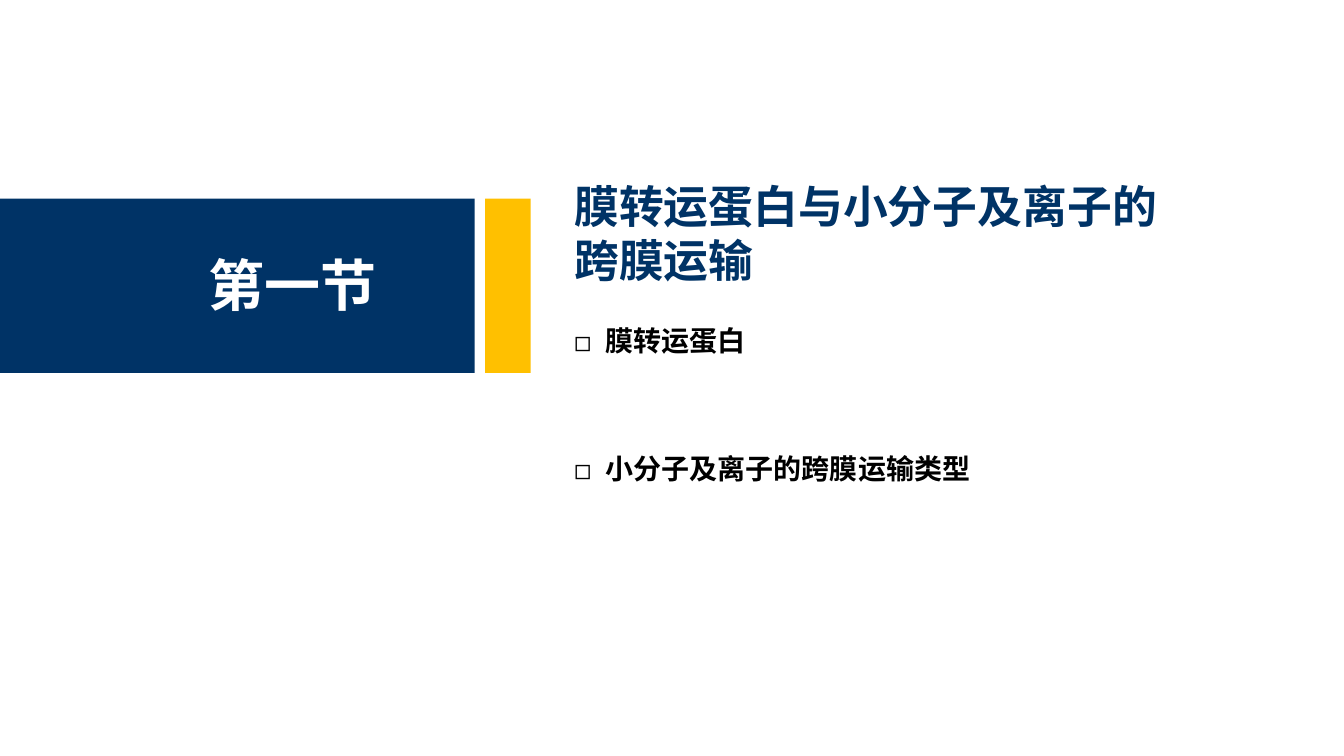
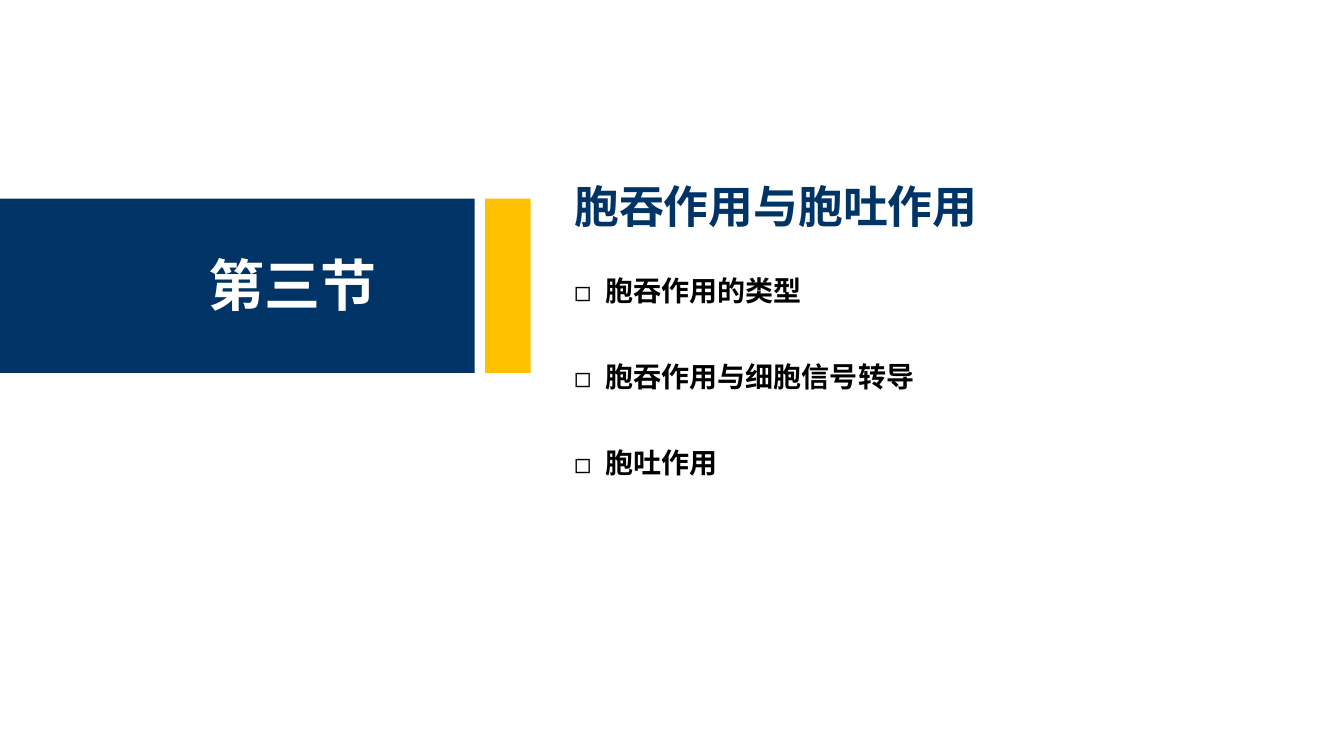
from dataclasses import dataclass

from lxml import etree
from pptx import Presentation
from pptx.dml.color import RGBColor
from pptx.enum import shapes, text
from pptx.oxml import ns
from pptx.util import Pt


@dataclass(frozen=True)
class Theme:
    navy: RGBColor = RGBColor(0x00, 0x33, 0x66)
    amber: RGBColor = RGBColor(0xFF, 0xC0, 0x00)
    white: RGBColor = RGBColor(0xFF, 0xFF, 0xFF)
    black: RGBColor = RGBColor(0x00, 0x00, 0x00)
    font: str = "Noto Sans CJK SC"
    section_size: float = 40
    heading_size: float = 32
    heading_leading: float = 38.6
    topic_size: float = 20


THEME = Theme()
BAND_TOP, BAND_HEIGHT = 142, 124.5
CONTENT_LEFT, CONTENT_WIDTH = 403, 453
TOPIC_HEIGHT, TOPIC_INDENT = 31.7, 22.5

SECTIONS = [
    ("第一节", "膜转运蛋白与小分子及离子的跨膜运输", 227.5, 91.5,
     ["膜转运蛋白", "小分子及离子的跨膜运输类型"]),
    ("第三节", "胞吞作用与胞吐作用", 191.5, 61.6,
     ["胞吞作用的类型", "胞吞作用与细胞信号转导", "胞吐作用"]),
]


def add_band(slide, left, width, colour):
    band = slide.shapes.add_shape(shapes.MSO_SHAPE.RECTANGLE, Pt(left),
                                  Pt(BAND_TOP), Pt(width), Pt(BAND_HEIGHT))
    band.shadow.inherit = False
    band.fill.solid()
    band.fill.fore_color.rgb = colour
    band.line.fill.background()


def write(holder, words, size, colour, anchor):
    frame = holder.text_frame
    frame.word_wrap = True
    frame.auto_size = text.MSO_AUTO_SIZE.NONE
    frame.vertical_anchor = anchor
    line = frame.paragraphs[0]
    line.alignment = text.PP_ALIGN.LEFT
    run = line.add_run()
    run.text = words
    run.font.size = Pt(size)
    run.font.bold = True
    run.font.color.rgb = colour
    run.font.name = THEME.font
    east_asian = etree.SubElement(run.font._element, ns.qn("a:ea"))
    east_asian.set("typeface", THEME.font)
    return line


def add_label(slide, words, left, top, width, height, size, colour):
    label = slide.shapes.add_textbox(Pt(left), Pt(top), Pt(width), Pt(height))
    return write(label, words, size, colour, text.MSO_ANCHOR.MIDDLE)


def add_topic(slide, words, top):
    line = add_label(slide, words, CONTENT_LEFT, top, CONTENT_WIDTH,
                     TOPIC_HEIGHT, THEME.topic_size, THEME.black)
    properties = line._p.get_or_add_pPr()
    properties.set("marL", str(Pt(TOPIC_INDENT)))
    properties.set("indent", str(-Pt(TOPIC_INDENT)))
    bullet_font = etree.SubElement(properties, ns.qn("a:buFont"))
    bullet_font.set("typeface", THEME.font)
    etree.SubElement(properties, ns.qn("a:buChar")).set("char", "◻")


def set_heading(slide, words):
    heading = slide.shapes.title
    heading.left, heading.top = Pt(CONTENT_LEFT), Pt(124)
    heading.width, heading.height = Pt(CONTENT_WIDTH), Pt(85)
    line = write(heading, words, THEME.heading_size, THEME.navy,
                 text.MSO_ANCHOR.TOP)
    line.line_spacing = Pt(THEME.heading_leading)


def add_section(deck, number, heading, first_top, step, topics):
    slide = deck.slides.add_slide(deck.slide_layouts[5])
    add_band(slide, 0, 339, THEME.navy)
    add_band(slide, 346.5, 32.5, THEME.amber)
    add_label(slide, number, 142, 175, 150, 55.5,
              THEME.section_size, THEME.white)
    set_heading(slide, heading)
    for index, topic in enumerate(topics):
        add_topic(slide, topic, first_top + index * step)


def main():
    deck = Presentation()
    deck.slide_width, deck.slide_height = Pt(960), Pt(540)
    for section in SECTIONS:
        add_section(deck, *section)
    deck.save("out.pptx")


if __name__ == "__main__":
    main()
